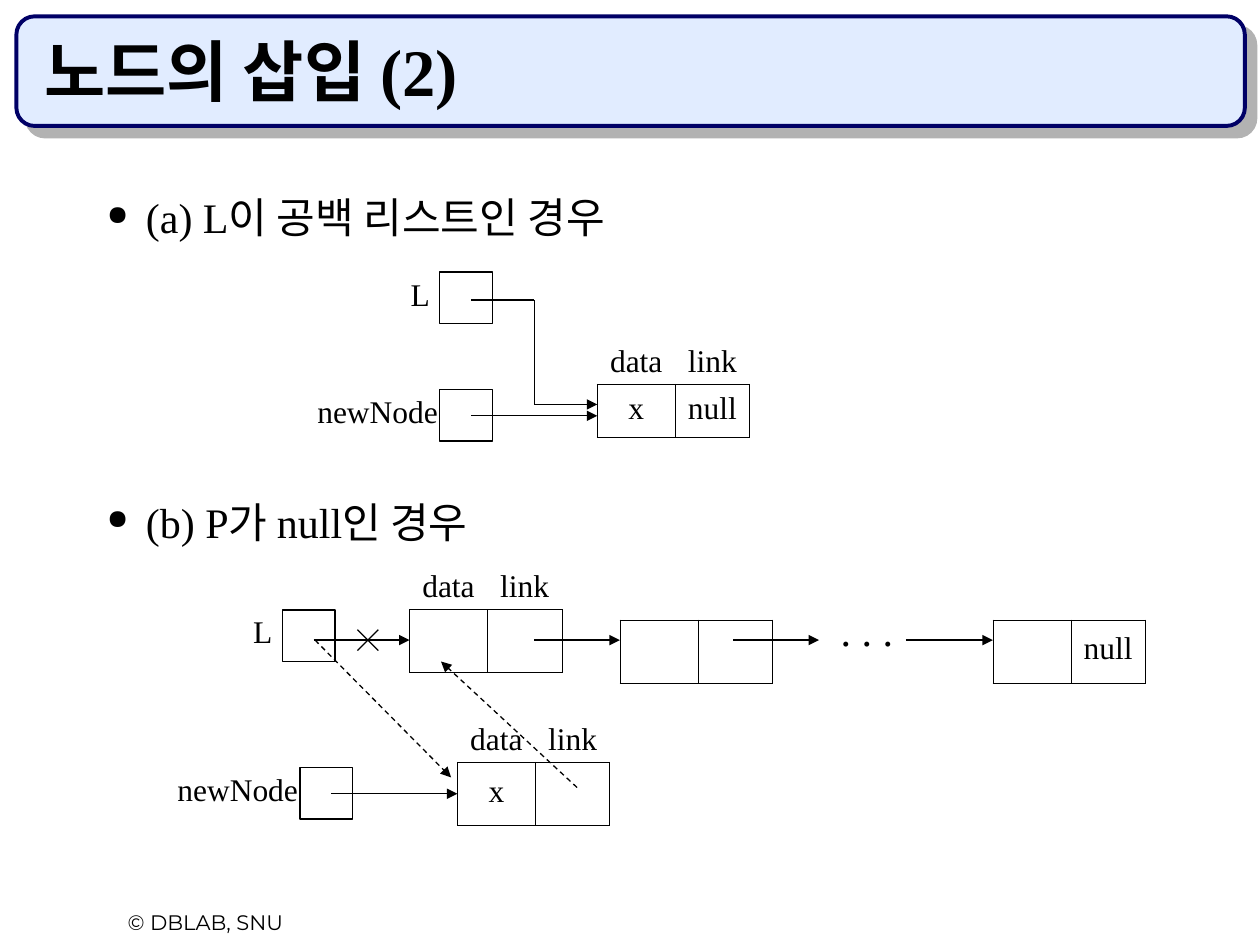
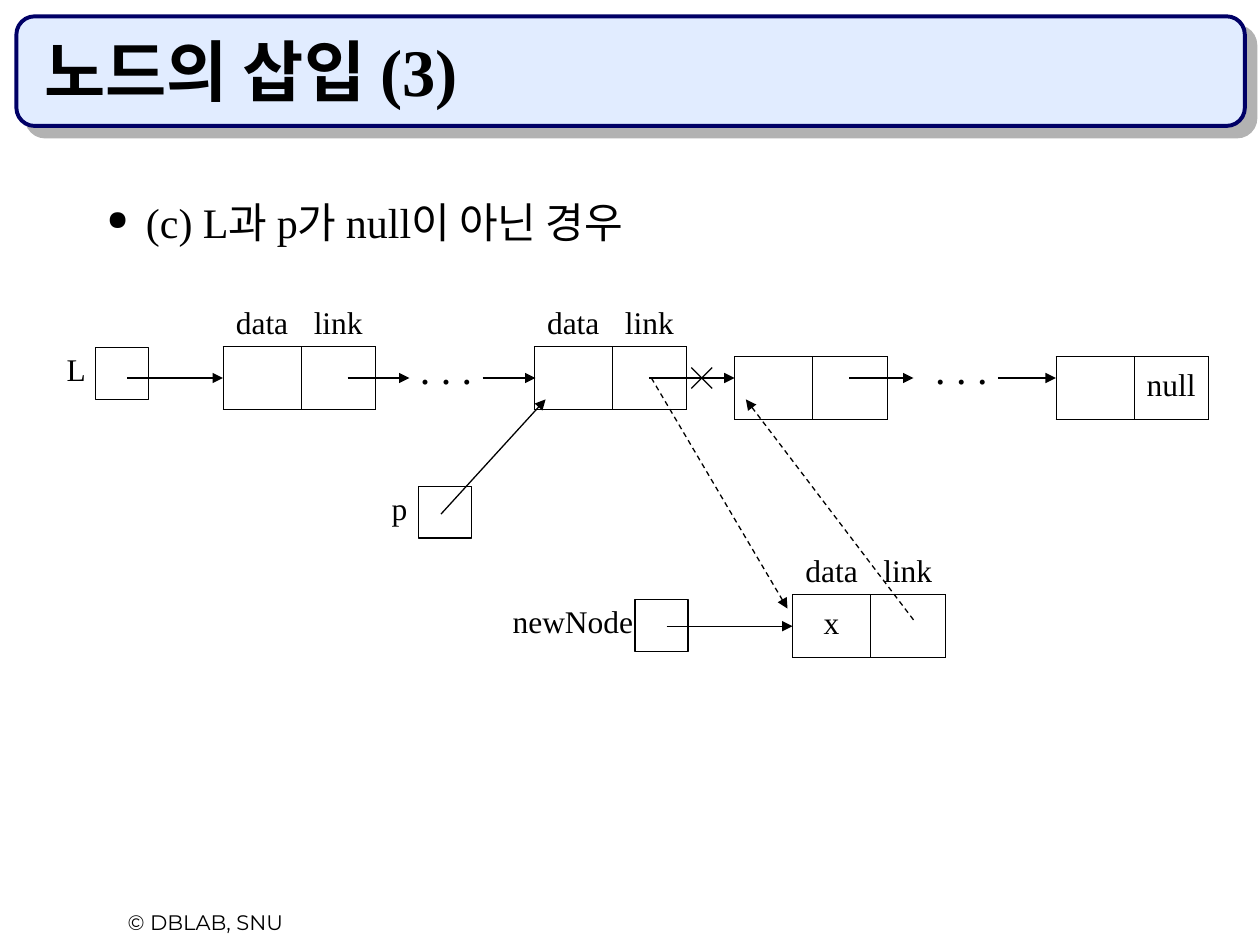
"""Build two slides on inserting a node in a linked list."""
from dataclasses import dataclass, field

import lxml.etree
import pptx
import pptx.dml.color
import pptx.enum.dml
import pptx.enum.shapes
import pptx.enum.text
import pptx.oxml.ns
import pptx.util

qn = pptx.oxml.ns.qn
Pt = pptx.util.Pt
Kind = pptx.enum.shapes.MSO_SHAPE
Side = pptx.enum.text.PP_ALIGN
Hold = pptx.enum.text.MSO_ANCHOR
Fit = pptx.enum.text.MSO_AUTO_SIZE


@dataclass
class Theme:
    """Colours, fonts, sizes and common measures (100 by 75 grid)."""
    ink: str = "000000"
    pale: str = "E1ECFF"
    navy: str = "000066"
    shade: str = "B2B2B2"
    serif: str = "Times New Roman"
    sans: str = "Montserrat"
    head: int = 38
    body: int = 24
    small: int = 18
    foot: int = 12
    thin: float = 0.75
    hair: float = 0.45
    tight: float = 0.8
    box: tuple = (4.2, 4.1)
    cols: tuple = (6.2, 5.9)
    short: float = 4.2
    tall: float = 5
    tags: dict = field(default_factory=lambda: {
        "L": (3.3, 3.5), "p": (3.1, 3.3), "newNode": (10.7, 11.6)})


def sub(parent, tag, **attrs):
    """Add a child element with the given attributes."""
    return lxml.etree.SubElement(parent, qn(tag), attrs)


class Deck:
    """Hold the theme and the current slide, and draw on it."""

    def __init__(self, theme):
        self.theme = theme
        self.show = pptx.Presentation()
        self.show.slide_width = pptx.util.Inches(10)
        self.show.slide_height = pptx.util.Inches(7.5)
        self.plan = self.show.slide_layouts[5]
        self.slide = None

    def col(self, x):
        """Turn columns into a length."""
        return round(self.show.slide_width * x / 100)

    def row(self, y):
        """Turn rows into a length."""
        return round(self.show.slide_height * y / 75)

    def area(self, x, y, w, h):
        """Turn a grid area into four lengths."""
        return self.col(x), self.row(y), self.col(w), self.row(h)

    def tint(self, code):
        """Turn a hex code into a colour."""
        return pptx.dml.color.RGBColor.from_string(code)

    def say(self, para, text, size, face=None, bold=False):
        """Add one run to a paragraph."""
        run = para.add_run()
        run.text = text
        run.font.size = Pt(size)
        run.font.name = face or self.theme.serif
        run.font.bold = bold
        run.font.color.rgb = self.tint(self.theme.ink)

    def begin(self, text):
        """Start a slide with its title."""
        self.slide = self.show.slides.add_slide(self.plan)
        title = self.slide.shapes.title
        title.left, title.top, title.width, title.height = self.area(
            2.5, 2.5, 94.2, 6.7)
        frame = title.text_frame
        frame.auto_size = Fit.NONE
        frame.vertical_anchor = Hold.BOTTOM
        para = frame.paragraphs[0]
        para.alignment = Side.LEFT
        self.say(para, text, self.theme.head, bold=True)

    def frame(self):
        """Put the title band and the footer on the shared layout."""
        band = self.shape(Kind.ROUNDED_RECTANGLE, 1.3, 1.3, 97.5, 8.7,
                          self.theme.pale, self.theme.navy, 2.25)
        glow = band.element.spPr.find(qn("a:effectLst"))
        cast = sub(glow, "a:outerShdw", dist=str(Pt(8.5)), dir="2700000",
                   algn="tl", rotWithShape="0")
        sub(cast, "a:srgbClr", val=self.theme.shade)
        foot = self.text("© DBLAB, SNU", 4.2, 71.7, 24.2, 3,
                         self.theme.foot, self.theme.sans, Side.CENTER)
        for part in (band, foot):
            self.plan.shapes.element.append(part.element)

    def shape(self, kind, x, y, w, h, fill, edge, width):
        """Draw a preset shape."""
        form = self.slide.shapes.add_shape(kind, *self.area(x, y, w, h))
        form.shadow.inherit = False
        if fill:
            form.fill.solid()
            form.fill.fore_color.rgb = self.tint(fill)
        else:
            form.fill.background()
        form.line.color.rgb = self.tint(edge)
        form.line.width = Pt(width)
        return form

    def text(self, words, x, y, w, h, size, face=None, side=Side.LEFT,
             wrap=True):
        """Draw a text box with one paragraph."""
        box = self.slide.shapes.add_textbox(*self.area(x, y, w, h))
        box.text_frame.word_wrap = wrap
        para = box.text_frame.paragraphs[0]
        para.alignment = side
        self.say(para, words, size, face)
        return box

    def bullet(self, words, y):
        """Draw a bulleted line."""
        box = self.text(words, 2.5, y, 94.2, 5, self.theme.body)
        para = box.text_frame.paragraphs[0]
        para.line_spacing = self.theme.tight
        props = para._p.get_or_add_pPr()
        props.set("marL", str(self.col(8.1)))
        props.set("indent", str(-self.col(3.1)))
        dye = sub(props, "a:buClr")
        sub(dye, "a:srgbClr", val=self.theme.ink)
        sub(props, "a:buSzPct", val="65000")
        sub(props, "a:buChar", char="●")

    def box(self, name, x, y):
        """Draw a pointer box with its name on the left."""
        self.shape(Kind.RECTANGLE, x, y, *self.theme.box, None,
                   self.theme.ink, self.theme.thin)
        gap, wide = self.theme.tags[name]
        self.text(name, x - gap, y - 0.3, wide, 4, self.theme.small,
                  wrap=False)

    def dots(self, x, y):
        """Draw the dots for skipped nodes."""
        self.text(". . .", x, y, 9.2, 5, self.theme.body, side=Side.CENTER)

    def line(self, start, end, tip=True, dash=False):
        """Draw a straight line or arrow."""
        link = self.slide.shapes.add_connector(
            pptx.enum.shapes.MSO_CONNECTOR.STRAIGHT,
            self.col(start[0]), self.row(start[1]),
            self.col(end[0]), self.row(end[1]))
        link.line.color.rgb = self.tint(self.theme.ink)
        link.line.width = Pt(self.theme.thin)
        if dash:
            link.line.dash_style = pptx.enum.dml.MSO_LINE.DASH
        props = link.element.spPr
        if tip:
            sub(props.find(qn("a:ln")), "a:tailEnd", type="triangle")
        sub(props, "a:effectLst")

    def arrow(self, x, y, end):
        """Draw a level arrow."""
        self.line((x, y), (end, y))

    def bend(self, *points):
        """Draw a bent arrow through the points."""
        last = len(points) - 2
        for at, (start, end) in enumerate(zip(points, points[1:])):
            self.line(start, end, tip=at == last)

    def cross(self, x, y, arm=0.83):
        """Strike out an arrow."""
        for rise in (arm, -arm):
            self.line((x - arm, y - rise), (x + arm, y + rise), tip=False)

    def node(self, x, y, data="", link="", named=True):
        """Draw a list node as a table, with or without field names."""
        look = self.theme
        heights = (look.short if named else look.tall,
                   look.short if data and link else look.tall)
        grid = self.slide.shapes.add_table(
            2, 2, *self.area(x, y, sum(look.cols), sum(heights))).table
        grid.first_row = grid.horz_banding = False
        for at, wide in enumerate(look.cols):
            grid.columns[at].width = self.col(wide)
        words = (("data", "link") if named else ("", ""), (data, link))
        for at, high in enumerate(heights):
            grid.rows[at].height = self.row(high)
            for to, word in enumerate(words[at]):
                self.cell(grid.cell(at, to), word, at == 0)

    def cell(self, cell, word, top):
        """Format one cell; field names have only a bottom edge."""
        props = cell._tc.get_or_add_tcPr()
        for edge in "LRTB":
            rule = sub(props, "a:ln" + edge, w=str(Pt(self.theme.hair)))
            if top and edge != "B":
                sub(rule, "a:noFill")
            else:
                dye = sub(rule, "a:solidFill")
                sub(dye, "a:srgbClr", val=self.theme.ink)
        cell.fill.background()
        cell.margin_left = cell.margin_right = self.col(0.5)
        cell.vertical_anchor = Hold.BOTTOM if top else Hold.MIDDLE
        if word:
            para = cell.text_frame.paragraphs[0]
            para.alignment = Side.CENTER
            para.line_spacing = self.theme.tight
            self.say(para, word, self.theme.small)

    def fresh(self, x, y, link=""):
        """Draw the new node with its pointer."""
        self.box("newNode", x, y)
        self.arrow(x + 2.5, y + 2.1, x + 12.5)
        self.node(x + 12.5, y - 4.6, "x", link)


def first(deck):
    """Draw the cases of an empty list and a null pointer."""
    deck.bullet("(a) L이 공백 리스트인 경우", 15.5)
    deck.box("L", 34.9, 21.6)
    deck.fresh(34.9, 30.9, "null")
    deck.bend((37.4, 23.8), (42.4, 23.8), (42.4, 32.1), (47.4, 32.1))

    deck.bullet("(b) P가 null인 경우", 39.7)
    deck.box("L", 22.4, 48.4)
    deck.node(32.5, 44.2)
    deck.node(49.2, 44.2, named=False)
    deck.node(78.8, 44.2, link="null", named=False)
    for start, end in ((24.9, 32.5), (42.4, 49.2), (58.2, 65), (71.9, 78.8)):
        deck.arrow(start, 50.8, end)
    deck.dots(64.2, 47.5)
    deck.cross(29.2, 50.8)
    deck.fresh(23.8, 60.9)
    deck.line((25, 50.8), (35.8, 61.7), dash=True)
    deck.line((45.8, 62.5), (35, 52.5), dash=True)


def second(deck):
    """Draw the case where neither pointer is null."""
    deck.bullet("(c) L과 p가 null이 아닌 경우", 15.9)
    deck.box("L", 7.6, 27.6)
    for x in (17.7, 42.4):
        deck.node(x, 23.3)
    deck.node(58.3, 23.3, named=False)
    deck.node(83.8, 23.3, link="null", named=False)
    for start, end in ((10.1, 17.7), (27.6, 32.5), (38.3, 42.5),
                       (51.5, 58.3), (67.4, 72.5), (79.2, 83.8)):
        deck.arrow(start, 30, end)
    for x in (30.8, 71.7):
        deck.dots(x, 26.7)
    deck.cross(55.7, 30)
    deck.box("p", 33.2, 38.6)
    deck.line((35, 40.8), (43.3, 31.7))
    deck.fresh(50.4, 47.6)
    deck.line((51.7, 30), (62.5, 48.3), dash=True)
    deck.line((72.5, 49.2), (59.2, 31.7), dash=True)


def main():
    """Build and save the slides."""
    deck = Deck(Theme())
    deck.begin("노드의 삽입 (2)")
    deck.frame()
    first(deck)
    deck.begin("노드의 삽입 (3)")
    second(deck)
    deck.show.save("out.pptx")


if __name__ == "__main__":
    main()
